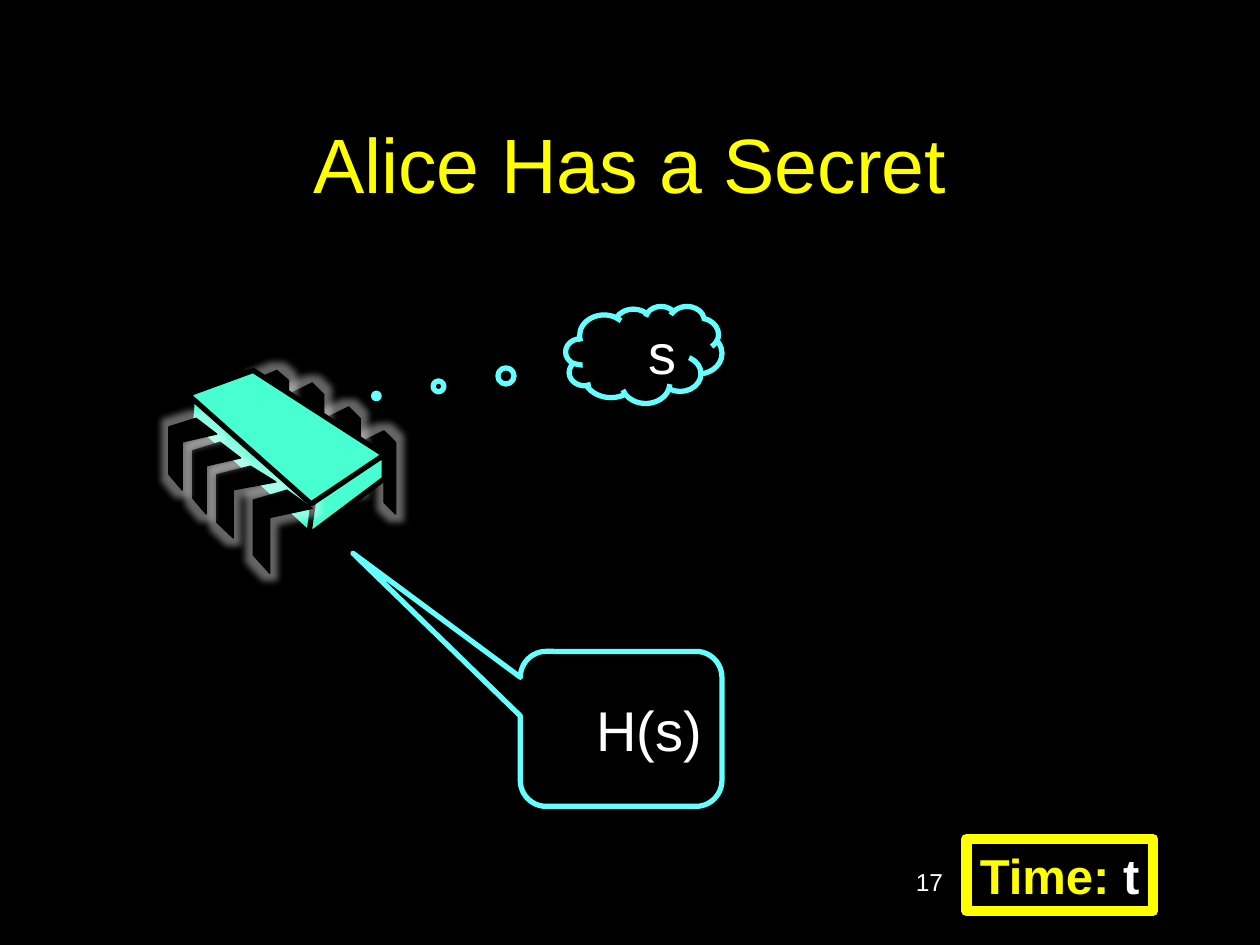
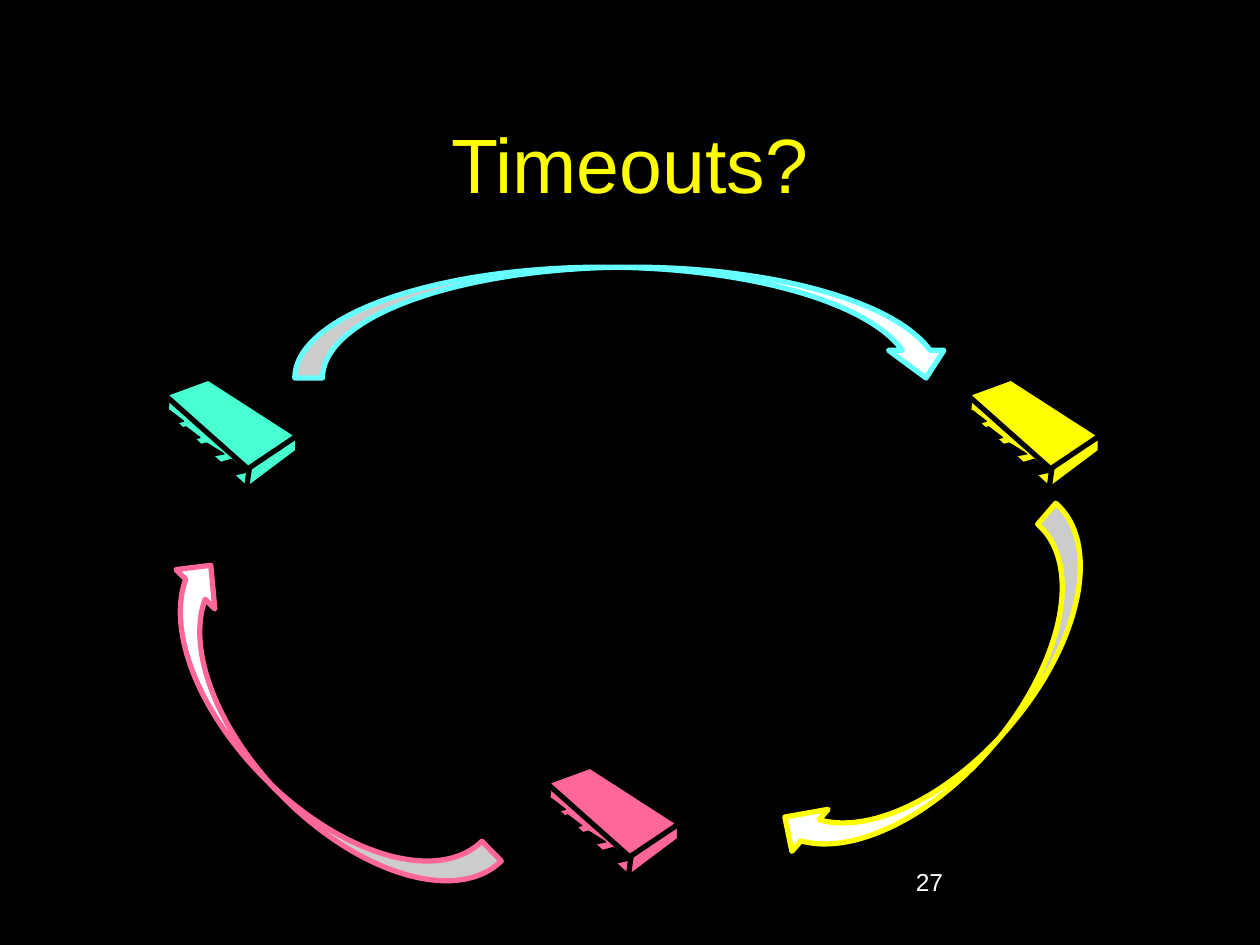
from dataclasses import dataclass

from pptx import Presentation
from pptx.dml.color import RGBColor
from pptx.enum.shapes import MSO_SHAPE as Kind
from pptx.enum.text import MSO_ANCHOR as Anchor, MSO_AUTO_SIZE as Fit, PP_ALIGN as Align
from pptx.oxml import parse_xml
from pptx.oxml.ns import nsdecls, qn
from pptx.util import Inches, Pt


@dataclass(frozen=True)
class Theme:
    font: str = "Arial"
    black: str = "000000"
    white: str = "FFFFFF"
    yellow: str = "FFFF00"
    cyan: str = "66FFFF"
    mint: str = "47FFD1"
    pink: str = "FF6699"
    title: int = 44
    label: int = 32
    clock: int = 28
    page: int = 14
    thin: float = 0.75
    line: int = 3
    thick: int = 6


T = Theme()

SECRET = {"title": "Alice Has a Secret", "page": "17"}
RING = {"title": "Timeouts?", "page": "27"}
TITLE_BOX = (0.75, 0.67, 8.5, 1.25)
PAGE_BOX = (7.17, 6.83, 2.08, 0.5)
CLOCK_BOX = (7.67, 6.66, 1.48, 0.57)
CLOCK = [("Time: ", T.yellow), ("t", T.white)]

CALLS = [
    ("s", Kind.CLOUD_CALLOUT, (4.49, 2.43, 1.24, 0.77), (-1.712, 0.426)),
    ("H(s)", Kind.ROUNDED_RECTANGULAR_CALLOUT, (4.13, 5.17, 1.6, 1.23),
     (-1.33, -1.133, 0.167)),
]
ARROWS = [
    ((2.34, 2.12, 5.23, 0.88), 0, T.cyan),
    ((5.81, 5.17, 3.51, 0.88), 130.8, T.yellow),
    ((0.68, 5.45, 3.51, 0.88), 225.5, T.pink),
]
ALICE = (1.34, 2.94, T.mint)
SMALL = 0.68
CHIPS = [(1.2, 3.0, T.mint), (7.57, 3.0, T.yellow), (4.23, 6.08, T.pink)]

BACK = [(0, 0.14), (0.67, 0), (1, 0.14), (1, 1), (0.67, 0.86), (0.67, 0.29), (0, 0.43)]
FRONT = [(0.57, 0), (1, 0.22), (0.28, 0.33), (0.28, 1), (0, 0.78), (0, 0.12)]
SIDE = [(0.19, 0.19), (1.14, 1.05), (1.13, 1.31), (0.17, 0.43)]
END = [(1.71, 0.67), (1.71, 0.86), (1.11, 1.31), (1.15, 1.03)]
TOP = [(0.67, 0), (1.71, 0.67), (1.13, 1.06), (0.15, 0.19)]
WHOLE = (0, 0, 1, 1)
PARTS = [
    (BACK, (1.52, 0.48, 0.28, 0.66), False),
    (BACK, (1.24, 0.29, 0.28, 0.66), False),
    (BACK, (0.95, 0.1, 0.28, 0.66), False),
    (BACK, (0.67, 0, 0.28, 0.57), False),
    (SIDE, WHOLE, True),
    (END, WHOLE, True),
    (FRONT, (0.67, 0.95, 0.47, 0.66), False),
    (FRONT, (0.38, 0.76, 0.47, 0.57), False),
    (FRONT, (0.19, 0.57, 0.38, 0.57), False),
    (FRONT, (0, 0.38, 0.38, 0.57), False),
    (TOP, WHOLE, True),
]


def rgb(code):
    return RGBColor.from_string(code)


def write(shape, runs, size, align=Align.LEFT, anchor=Anchor.TOP, wrap=True,
          fit=Fit.NONE, bold=False):
    frame = shape.text_frame
    frame.word_wrap = wrap
    frame.auto_size = fit
    frame.vertical_anchor = anchor
    para = frame.paragraphs[0]
    para.alignment = align
    for text, color in runs:
        run = para.add_run()
        run.text = text
        font = run.font
        font.name, font.size, font.bold = T.font, Pt(size), bold
        font.color.rgb = rgb(color)


def paint(shape, fill, edge, width):
    shape.shadow.inherit = False
    shape.fill.solid()
    shape.fill.fore_color.rgb = rgb(fill)
    shape.line.color.rgb = rgb(edge)
    shape.line.width = Pt(width)


def glow(shape):
    halo = parse_xml(
        f'<a:glow {nsdecls("a")} rad="101600"><a:srgbClr val="{T.white}">'
        '<a:alpha val="40000"/></a:srgbClr></a:glow>')
    shape._element.spPr.find(qn("a:effectLst")).append(halo)


def add(slide, kind, box, fill, edge, width=T.line):
    shape = slide.shapes.add_shape(kind, *map(Inches, box))
    paint(shape, fill, edge, width)
    return shape


def chip(slide, left, top, color, scale=1, lit=False):
    group = slide.shapes.add_group_shape()
    for points, (x, y, w, h), face in PARTS:
        spots = [(Inches(left + scale * (x + w * px)), Inches(top + scale * (y + h * py)))
                 for px, py in points]
        path = group.shapes.build_freeform(*spots[0], scale=1)
        path.add_line_segments(spots[1:], close=True)
        part = path.convert_to_shape()
        paint(part, color if face else T.black, T.black, T.line if face else T.thin)
        if lit and not face:
            glow(part)


def start(deck, title, page):
    slide = deck.slides.add_slide(deck.slide_layouts[5])
    head = slide.shapes.title
    head.left, head.top, head.width, head.height = map(Inches, TITLE_BOX)
    write(head, [(title, T.yellow)], T.title, align=Align.CENTER, anchor=Anchor.MIDDLE)
    note = slide.shapes.add_textbox(*map(Inches, PAGE_BOX))
    write(note, [(page, T.white)], T.page)
    return slide


def secret(deck):
    slide = start(deck, **SECRET)
    for text, kind, box, tail in CALLS:
        call = add(slide, kind, box, T.black, T.cyan)
        for i, value in enumerate(tail):
            call.adjustments[i] = value
        write(call, [(text, T.white)], T.label, align=Align.RIGHT,
              anchor=Anchor.MIDDLE, wrap=False)
    clock = add(slide, Kind.RECTANGLE, CLOCK_BOX, T.black, T.yellow, T.thick)
    write(clock, CLOCK, T.clock, align=Align.CENTER, wrap=False,
          fit=Fit.SHAPE_TO_FIT_TEXT, bold=True)
    chip(slide, *ALICE, lit=True)


def ring(deck):
    slide = start(deck, **RING)
    for box, turn, color in ARROWS:
        arrow = add(slide, Kind.CURVED_DOWN_ARROW, box, T.white, color)
        arrow.rotation = turn
    for place in CHIPS:
        chip(slide, *place, scale=SMALL)


def main():
    deck = Presentation()
    deck.slide_width, deck.slide_height = Inches(10), Inches(7.5)
    back = deck.slide_master.background.fill
    back.solid()
    back.fore_color.rgb = rgb(T.black)
    secret(deck)
    ring(deck)
    deck.save("out.pptx")


if __name__ == "__main__":
    main()
